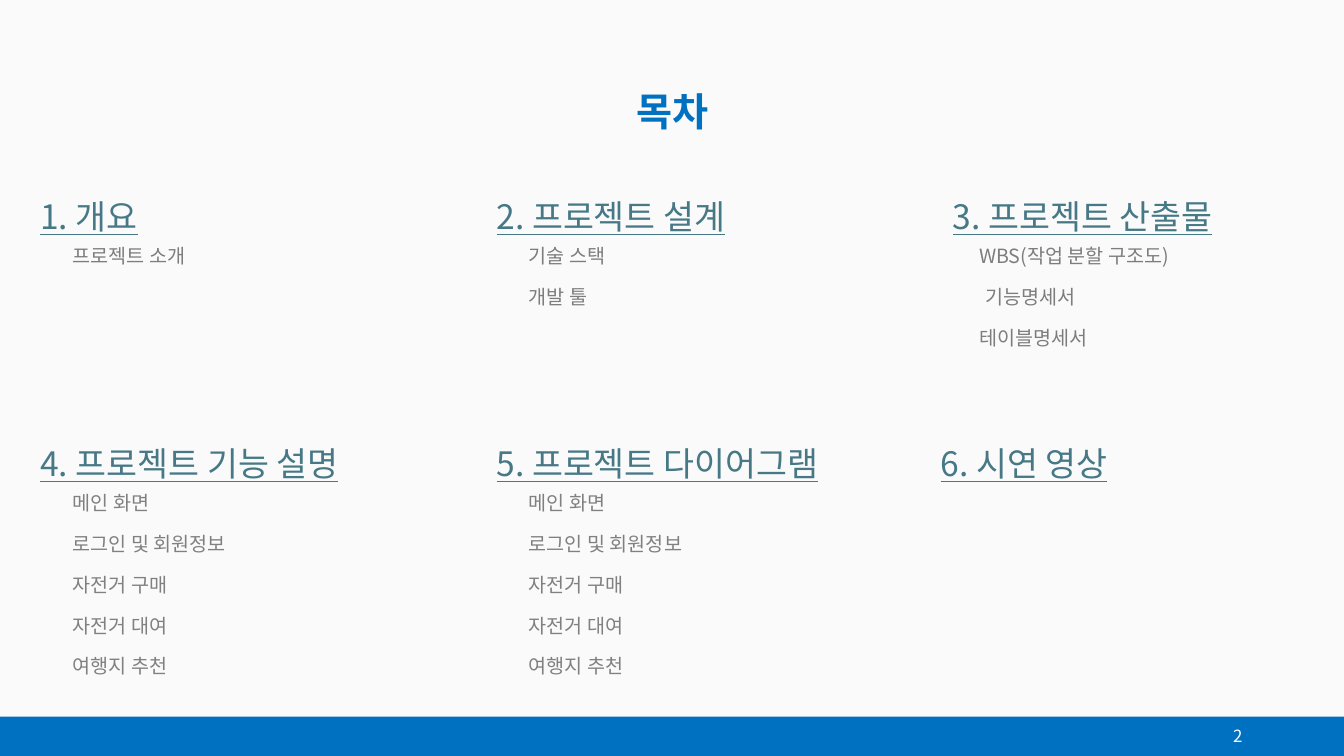
from lxml.etree import SubElement
from pptx import Presentation
from pptx.dml.color import RGBColor
from pptx.enum.shapes import MSO_SHAPE
from pptx.enum.text import MSO_ANCHOR, PP_ALIGN
from pptx.oxml.ns import qn
from pptx.util import Inches, Pt

TITLE = "목차"
PAGE = "2"
PAGES = ["메인 화면", "로그인 및 회원정보", "자전거 구매", "자전거 대여", "여행지 추천"]
# heading, items, table width, shift from the grid column
SECTIONS = [
    [
        ("1. 개요", ["프로젝트 소개"], 3.68, 0),
        ("2. 프로젝트 설계", ["기술 스택", "개발 툴", ""], 3.68, 0),
        ("3. 프로젝트 산출물",
         ["WBS(작업 분할 구조도)", "기능명세서", "테이블명세서"], 3.68, 0),
    ],
    [
        ("4. 프로젝트 기능 설명", PAGES, 3.68, 0),
        ("5. 프로젝트 다이어그램", PAGES, 3.92, 0),
        ("6. 시연 영상", [], 3.92, -0.12),
    ],
]
NARROW = {"WBS(작업 분할 구조도)", "테이블명세서"}

FONT = "Noto Sans CJK KR"
COLORS = {"back": "FAFAFA", "blue": "0070C0", "head": "467886",
          "top": "7D7D7D", "low": "808080", "white": "FFFFFF"}
WIDE, HIGH = 13.33, 7.5
LEFT, TOP = 0.3, 1.84
STEP_X, STEP_Y = 4.525, 2.45
ROW, SPAN = 0.405, 3
BAR = 0.39
PAD, INDENT, SMALL = 0.1, 0.42, 0.36
PLAIN = "{2D5ABB26-0587-4C30-8999-92F81FD0307C}"


def color(name):
    return RGBColor.from_string(COLORS[name])


def write(frame, text, size, tone, bold=False, line=False, align=None):
    para = frame.paragraphs[0]
    para.text = text
    para.alignment = align
    font = para.font
    font.size, font.bold, font.underline = Pt(size), bold, line
    font.color.rgb = color(tone)
    font.name = FONT
    SubElement(font._rPr, qn("a:ea")).set("typeface", FONT)
    return para


def add_text(slide, box, *args, **style):
    frame = slide.shapes.add_textbox(*map(Inches, box)).text_frame
    frame.word_wrap = True
    frame.vertical_anchor = MSO_ANCHOR.MIDDLE
    return write(frame, *args, **style)


def add_section(slide, x, y, section, tone):
    head, items, width, shift = section
    lines = [head] + items
    sizes = [ROW] * len(lines)
    if len(items) == 1:
        sizes[1] = ROW * SPAN
    table = slide.shapes.add_table(
        len(lines), 1, Inches(x + shift), Inches(y),
        Inches(width), Inches(sum(sizes))).table
    table.first_row = table.horz_banding = False
    table._tbl.tblPr.find(qn("a:tableStyleId")).text = PLAIN
    for i, (text, size) in enumerate(zip(lines, sizes)):
        table.rows[i].height = Inches(size)
        cell = table.cell(i, 0)
        cell.fill.background()
        if i == 0:
            cell.margin_left = Inches(PAD)
            write(cell.text_frame, text, 24, "head", line=True)
        else:
            cell.margin_left = Inches(SMALL if text in NARROW else INDENT)
            write(cell.text_frame, text, 14, tone)


def main():
    deck = Presentation()
    deck.slide_width, deck.slide_height = Inches(WIDE), Inches(HIGH)
    slide = deck.slides.add_slide(deck.slide_layouts[6])
    slide.background.fill.solid()
    slide.background.fill.fore_color.rgb = color("back")

    title = add_text(slide, (0.92, 0.4, 11.5, 1.45), TITLE, 28, "blue",
                     bold=True, align=PP_ALIGN.CENTER)
    title.line_spacing = 0.9

    for r, (band, tone) in enumerate(zip(SECTIONS, ("top", "low"))):
        for c, section in enumerate(band):
            add_section(slide, LEFT + c * STEP_X, TOP + r * STEP_Y, section, tone)

    bar = slide.shapes.add_shape(
        MSO_SHAPE.RECTANGLE, 0, Inches(HIGH - BAR), Inches(WIDE), Inches(BAR))
    bar.shadow.inherit = False
    bar.fill.solid()
    bar.fill.fore_color.rgb = color("blue")
    bar.line.fill.background()
    add_text(slide, (9.42, 7.1, 3, 0.4), PAGE, 12, "white", align=PP_ALIGN.RIGHT)

    deck.save("out.pptx")


if __name__ == "__main__":
    main()
